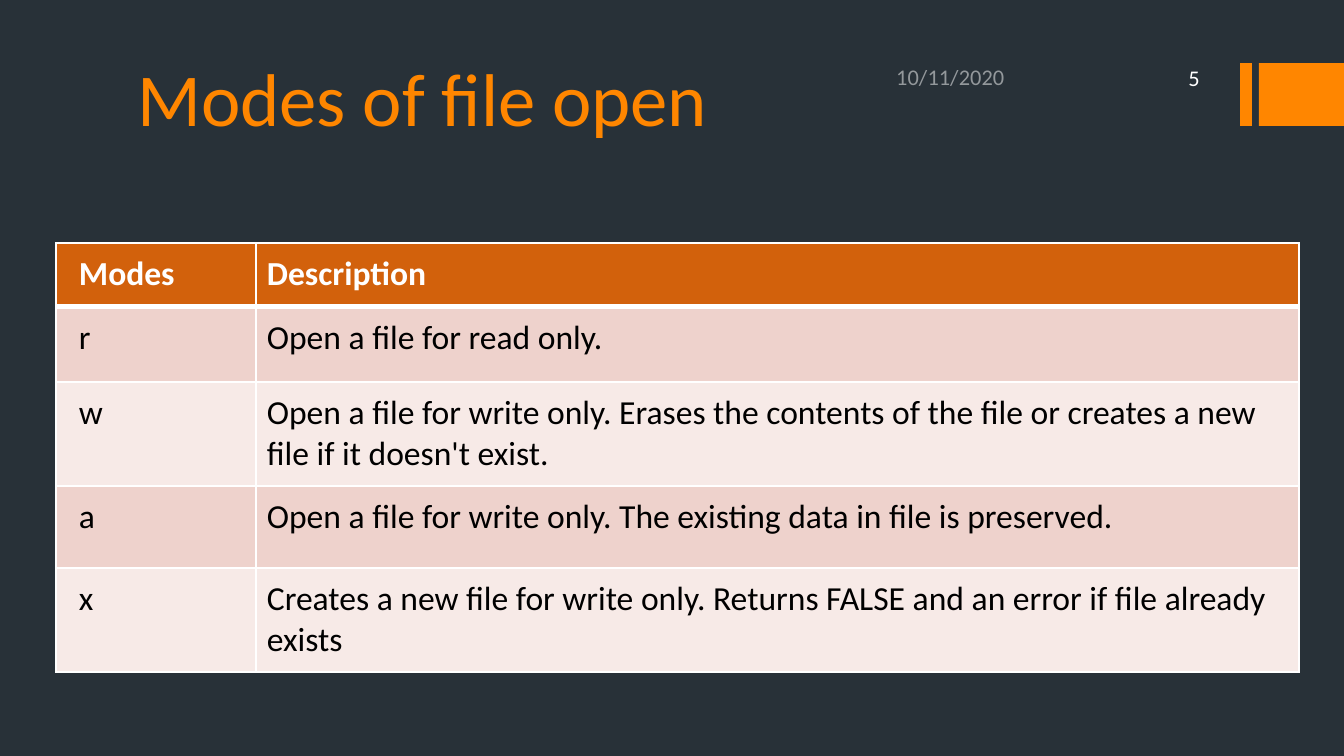
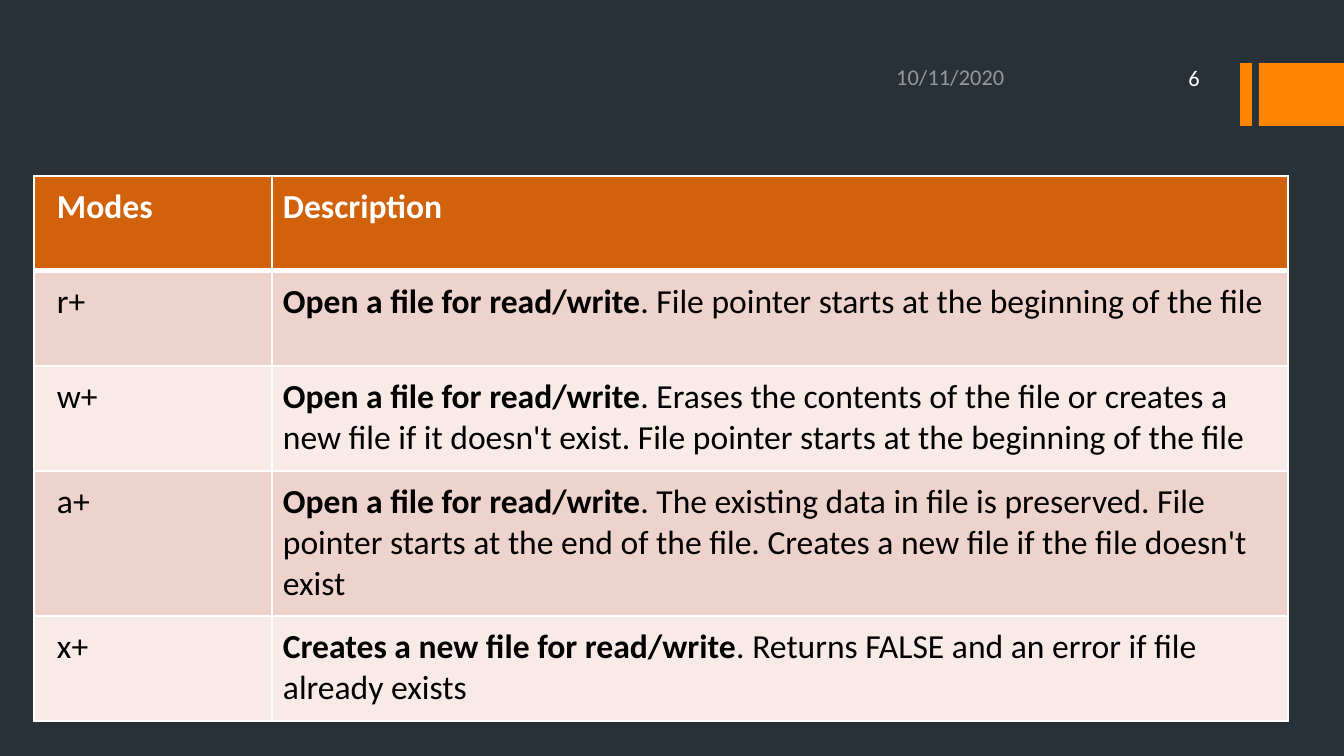
from lxml.etree import SubElement
from pptx import Presentation
from pptx.dml.color import RGBColor
from pptx.enum.shapes import MSO_SHAPE as SHAPE
from pptx.enum.text import MSO_ANCHOR as ANCHOR, MSO_AUTO_SIZE as AUTO, PP_ALIGN as ALIGN
from pptx.oxml.ns import qn
from pptx.util import Emu, Pt

FONT = "Calibri"
DARK = RGBColor(0x28, 0x31, 0x38)
ORANGE = RGBColor(0xFF, 0x86, 0x00)
HEADER = RGBColor(0xD2, 0x61, 0x0C)
BAND_ODD = RGBColor(0xEE, 0xD2, 0xCC)
BAND_EVEN = RGBColor(0xF7, 0xEA, 0xE7)
WHITE = RGBColor(0xFF, 0xFF, 0xFF)
BLACK = RGBColor(0, 0, 0)
DATE = "10/11/2020"
READ_WRITE = "Open a file for read/write"

BASIC_MODES = [
    ("r", "", "Open a file for read only."),
    ("w", "", "Open a file for write only. Erases the contents of the file "
     "or creates a new file if it doesn't exist."),
    ("a", "", "Open a file for write only. The existing data in file is preserved."),
    ("x", "", "Creates a new file for write only. Returns FALSE and an error "
     "if file already exists"),
]
PLUS_MODES = [
    ("r+", READ_WRITE, ". File pointer starts at the beginning of the file"),
    ("w+", READ_WRITE, ". Erases the contents of the file or creates a new file "
     "if it doesn't exist. File pointer starts at the beginning of the file"),
    ("a+", READ_WRITE, ". The existing data in file is preserved. File pointer starts "
     "at the end of the file. Creates a new file if the file doesn't exist"),
    ("x+", "Creates a new file for read/write",
     ". Returns FALSE and an error if file already exists"),
]


def px(n):
    """Turn pixels into EMU at 1344 pixels to 10 inches."""
    return Emu(round(n * 9144000 / 1344))


def style(p, size, color, bold=False, align=ALIGN.LEFT):
    """Set alignment and font of a paragraph."""
    p.alignment = align
    p.font.name = FONT
    p.font.size = Pt(size)
    p.font.bold = bold
    p.font.color.rgb = color


def add_label(s, text, x, y, w, h, align=ALIGN.LEFT, opacity=100):
    """Add a small white label, centred vertically."""
    tf = s.shapes.add_textbox(px(x), px(y), px(w), px(h)).text_frame
    tf.word_wrap = True
    tf.vertical_anchor = ANCHOR.MIDDLE
    p = tf.paragraphs[0]
    p.text = text
    style(p, 12, WHITE, align=align)
    if opacity < 100:
        color = p._p.find(".//" + qn("a:srgbClr"))
        SubElement(color, qn("a:alpha"), val=str(opacity * 1000))


def add_bar(s, x, w):
    """Add one orange bar at the top right."""
    sp = s.shapes.add_shape(SHAPE.RECTANGLE, px(x), px(63), px(w), px(63))
    sp.shadow.inherit = False
    sp.fill.solid()
    sp.fill.fore_color.rgb = ORANGE
    sp.line.fill.background()


def add_slide(prs, number, layout):
    """Add a slide with the shared bars, date and number."""
    s = prs.slides.add_slide(prs.slide_layouts[layout])
    for sp in list(s.placeholders):
        if sp != s.shapes.title:
            sp.element.getparent().remove(sp.element)
    add_bar(s, 1240, 12)
    add_bar(s, 1259, 85)
    add_label(s, DATE, 883, 61, 175, 32, opacity=50)
    add_label(s, str(number), 1075, 61, 138, 34, ALIGN.RIGHT)
    return s


def set_title(s, text):
    """Place and format the title placeholder."""
    sp = s.shapes.title
    sp.left, sp.top, sp.width, sp.height = px(124), px(20), px(1075), px(128)
    tf = sp.text_frame
    tf.text = text
    tf.auto_size = AUTO.NONE
    tf.vertical_anchor = ANCHOR.BOTTOM
    style(tf.paragraphs[0], 40, ORANGE)


def add_borders(cell, top, bottom):
    """Draw white cell borders with the given top and bottom widths."""
    tc_pr = cell._tc.get_or_add_tcPr()
    for side, width in zip("LRTB", (1, 1, top, bottom)):
        ln = SubElement(tc_pr, qn("a:ln" + side), w=str(Pt(width)))
        fill = SubElement(ln, qn("a:solidFill"))
        SubElement(fill, qn("a:srgbClr"), val=str(WHITE))


def fill_cell(cell, row, left, lead, rest):
    """Write and format one table cell."""
    add_borders(cell, 3 if row == 1 else 1, 3 if row == 0 else 1)
    cell.fill.solid()
    cell.fill.fore_color.rgb = HEADER if row == 0 else (BAND_EVEN, BAND_ODD)[row % 2]
    cell.margin_left = px(left)
    cell.margin_top = cell.margin_right = cell.margin_bottom = px(11)
    p = cell.text_frame.paragraphs[0]
    style(p, 18, BLACK if row else WHITE, bold=row == 0)
    if lead:
        r = p.add_run()
        r.text = lead
        r.font.bold = True
    p.add_run().text = rest


def add_modes_table(s, x, y, widths, heights, modes):
    """Add a table of file modes under a header row."""
    rows = [("Modes", "", "Description")] + modes
    table = s.shapes.add_table(len(rows), 2, px(x), px(y),
                               px(sum(widths)), px(sum(heights))).table
    for column, width in zip(table.columns, widths):
        column.width = px(width)
    for i, (mode, lead, rest) in enumerate(rows):
        table.rows[i].height = px(heights[i])
        fill_cell(table.cell(i, 0), i, 23, "", mode)
        fill_cell(table.cell(i, 1), i, 11, lead, rest)


def main():
    """Build both slides and save them."""
    prs = Presentation()
    prs.slide_width, prs.slide_height = px(1344), px(756)
    background = prs.slide_master.background.fill
    background.solid()
    background.fore_color.rgb = DARK

    s = add_slide(prs, 5, 5)
    set_title(s, "Modes of file open")
    add_modes_table(s, 56, 243, (200, 1043), (64, 75, 104, 82, 104), BASIC_MODES)

    s = add_slide(prs, 6, 6)
    add_modes_table(s, 34, 176, (238, 1016), (95, 95, 105, 145, 105), PLUS_MODES)
    prs.save("out.pptx")


if __name__ == "__main__":
    main()
